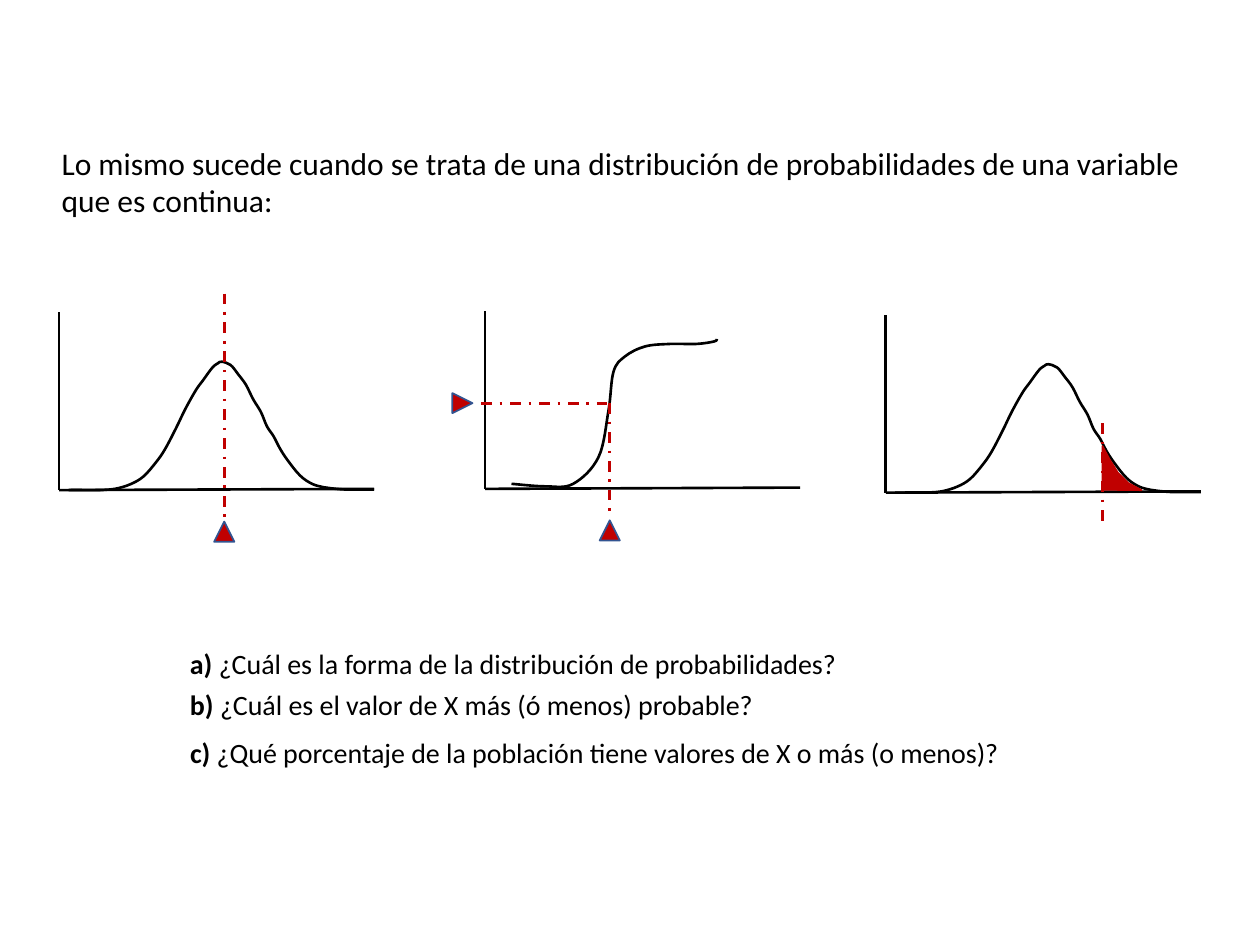
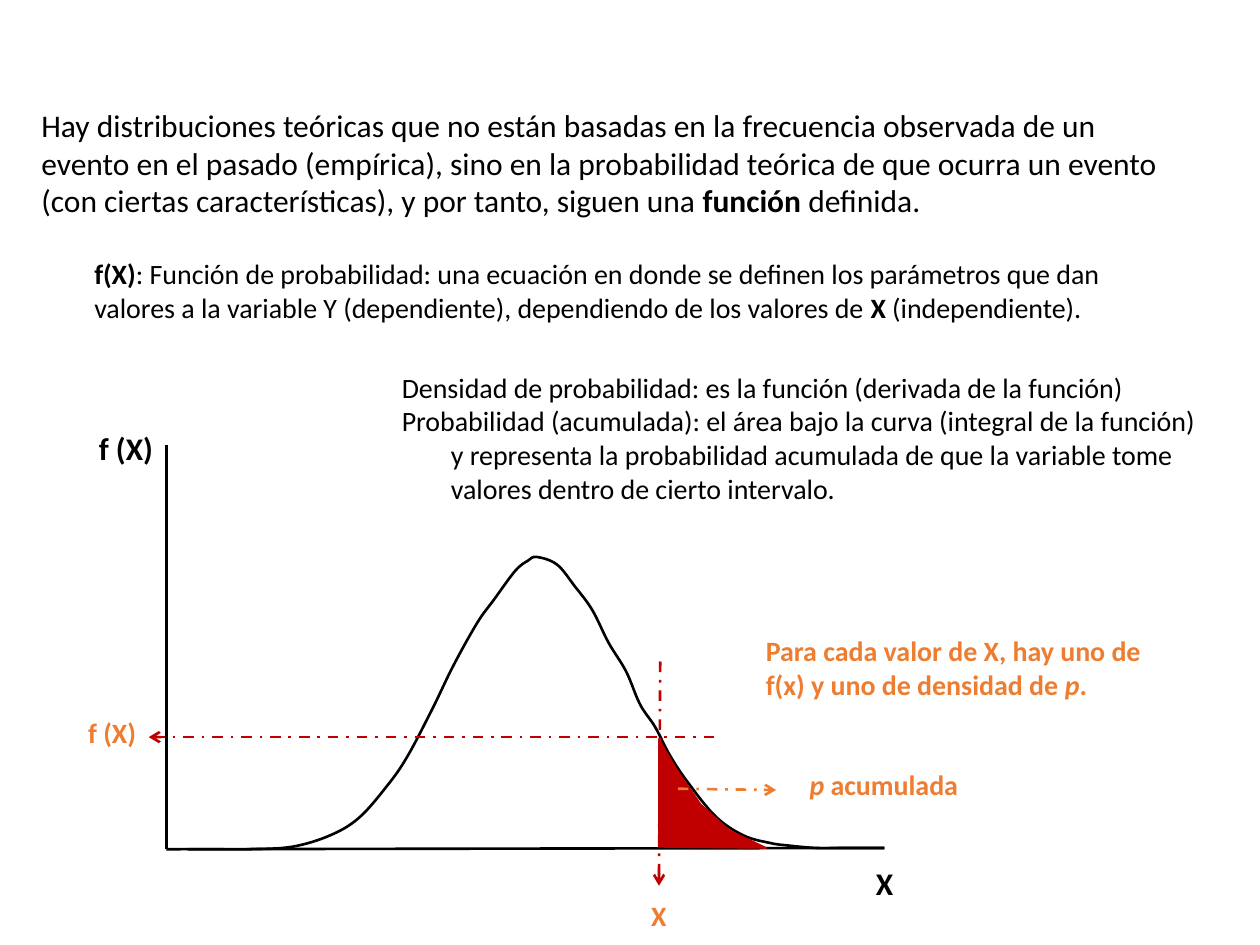
from dataclasses import dataclass

from lxml.etree import Element, SubElement
from pptx import Presentation
from pptx.dml.color import RGBColor as Color
from pptx.enum.dml import MSO_LINE as Dash
from pptx.enum.shapes import MSO_CONNECTOR as Connector, MSO_SHAPE as Shape
from pptx.enum.text import MSO_AUTO_SIZE as AutoSize, PP_ALIGN as Align
from pptx.oxml.ns import qn
from pptx.util import Emu, Pt

PX = 9144  # EMU per px: 100 px to the inch


@dataclass(frozen=True)
class Theme:
    font: str = "Calibri"
    ink: Color = Color(0x00, 0x00, 0x00)
    mark: Color = Color(0xC0, 0x00, 0x00)
    accent: Color = Color(0xED, 0x7D, 0x31)
    pointer_edge: Color = Color(0x32, 0x54, 0x91)
    lead: int = 18
    body: int = 16
    stroke: float = 1.5
    edge: float = 1


# Outlines in px, measured from the top left of axes of AXES_SIZE
AXES_SIZE = (570, 321)
BELL = [(17, 321), (40, 321), (66, 321), (100, 319), (130, 310), (153, 296),
        (175, 271), (191, 248), (211, 210), (228, 175), (247, 141), (260, 123),
        (277, 100), (287, 92), (294, 89), (310, 95), (324, 112), (338, 131),
        (351, 157), (365, 180), (376, 206), (388, 224), (400, 247), (414, 268),
        (436, 295), (458, 310), (479, 316), (493, 318), (516, 320), (540, 320),
        (552, 320), (570, 320)]
CUMULATIVE = [(406, 384), (433, 386), (455, 384), (475, 363), (483, 326),
              (487, 295), (496, 283), (512, 275), (532, 273), (553, 273),
              (567, 271), (569, 269)]
# Corners of the shaded tail, as shares of its box
TAIL = [(0, 0), (0, 0.99), (1, 1), (0.66, 0.84), (0.39, 0.6), (0.18, 0.3)]


def round_off(outline):
    """Turn the straight segments of an outline into one smooth curve."""
    track = next(outline.element.iter(qn("a:path")))
    knots = [(int(point.get("x")), int(point.get("y")))
             for point in track.iter(qn("a:pt"))]
    padded = [knots[0], *knots, knots[-1]]
    spans = zip(padded, padded[1:], padded[2:], padded[3:])
    for segment, (before, start, end, after) in zip(
            track.findall(qn("a:lnTo")), spans):
        bend = Element(qn("a:cubicBezTo"))
        leaving = [s + (e - b) / 6 for s, e, b in zip(start, end, before)]
        arriving = [e - (a - s) / 6 for s, e, a in zip(start, end, after)]
        for x, y in (leaving, arriving, end):
            SubElement(bend, qn("a:pt"), x=str(round(x)), y=str(round(y)))
        track.replace(segment, bend)


class Deck:
    def __init__(self, theme):
        self.theme = theme
        self.presentation = Presentation()
        self.presentation.slide_width = Emu(1000 * PX)
        self.presentation.slide_height = Emu(750 * PX)
        self.slide = None

    def new_slide(self):
        blank = self.presentation.slide_layouts[6]
        self.slide = self.presentation.slides.add_slide(blank)

    def text(self, left, top, width, height, *paragraphs, size=None,
             color=None, align=Align.LEFT, hanging=0):
        """Each paragraph is a list of (words, style); style holds b and/or i."""
        box = self.slide.shapes.add_textbox(
            *(Emu(n * PX) for n in (left, top, width, height)))
        frame = box.text_frame
        frame.word_wrap = True
        frame.auto_size = AutoSize.SHAPE_TO_FIT_TEXT
        for index, runs in enumerate(paragraphs):
            paragraph = frame.add_paragraph() if index else frame.paragraphs[0]
            paragraph.alignment = align
            if hanging:
                properties = paragraph._p.get_or_add_pPr()
                properties.set("marL", str(hanging * PX))
                properties.set("indent", str(-hanging * PX))
            for words, style in runs:
                run = paragraph.add_run()
                run.text = words
                font = run.font
                font.name = self.theme.font
                font.size = Pt(size or self.theme.body)
                font.color.rgb = color or self.theme.ink
                font.bold = "b" in style
                font.italic = "i" in style

    def label(self, left, top, words, height=37, **look):
        self.text(left, top, 94, height, [(words, "b")], align=Align.CENTER,
                  **look)

    def line(self, start, end, color=None, dashed=False, arrow=False):
        connector = self.slide.shapes.add_connector(
            Connector.STRAIGHT, *(Emu(n * PX) for n in (*start, *end)))
        connector.line.color.rgb = color or self.theme.ink
        connector.line.width = Pt(self.theme.stroke)
        if dashed:
            connector.line.dash_style = Dash.DASH_DOT
        properties = connector.element.spPr
        if arrow:
            SubElement(properties.find(qn("a:ln")), qn("a:tailEnd"), type="arrow")
        SubElement(properties, qn("a:effectLst"))

    def guide(self, start, end, color=None, arrow=False):
        self.line(start, end, color or self.theme.mark, True, arrow)

    def outline(self, points, close=False):
        corners = [(round(x * PX), round(y * PX)) for x, y in points]
        builder = self.slide.shapes.build_freeform(*corners[0])
        builder.add_line_segments(corners[1:], close=close)
        shape = builder.convert_to_shape()
        shape.shadow.inherit = False
        return shape

    def curve(self, knots):
        shape = self.outline(knots)
        round_off(shape)
        shape.fill.background()
        shape.line.color.rgb = self.theme.ink
        shape.line.width = Pt(self.theme.stroke)

    def paint(self, shape, edge):
        shape.fill.solid()
        shape.fill.fore_color.rgb = self.theme.mark
        shape.line.color.rgb = edge
        shape.line.width = Pt(self.theme.edge)

    def tail(self, left, top, width, height):
        area = self.outline(
            [(left + x * width, top + y * height) for x, y in TAIL], close=True)
        self.paint(area, self.theme.mark)

    def pointer(self, left, top, rotation=0):
        triangle = self.slide.shapes.add_shape(
            Shape.ISOSCELES_TRIANGLE,
            *(Emu(n * PX) for n in (left, top, 16, 16)))
        triangle.shadow.inherit = False
        triangle.rotation = rotation
        self.paint(triangle, self.theme.pointer_edge)

    def axes(self, left, top, width=250, height=141):
        base = top + height
        self.line((left, top), (left, base))
        self.line((left, base), (left + width, base - 1))

    def bell_plot(self, left, top, width=250, height=141):
        across, down = width / AXES_SIZE[0], height / AXES_SIZE[1]
        self.curve([(left + x * across, top + y * down) for x, y in BELL])
        self.axes(left, top, width, height)


def continuous_variable(deck):
    deck.new_slide()
    deck.bell_plot(47, 248)
    deck.pointer(170, 414)
    deck.guide((178, 233), (178, 412))

    deck.curve(CUMULATIVE)
    deck.axes(385, 247)
    deck.guide((382, 320), (484, 320))
    deck.guide((484, 320), (484, 406))
    deck.pointer(476, 413)
    deck.pointer(359, 312, rotation=90)

    deck.bell_plot(703, 250)
    deck.guide((875, 336), (875, 414))

    questions = [
        (508, 727, "a) ",
         "¿Cuál es la forma de la distribución de probabilidades?"),
        (541, 727, "b) ", "¿Cuál es el valor de X más (ó menos) probable?"),
        (579, 789, "c) ",
         "¿Qué porcentaje de la población tiene valores de X o más (o menos)?"),
    ]
    for top, width, letter, question in questions:
        deck.text(141, top, width, 37, [(letter, "b"), (question, "")])
    deck.tail(875, 354, 31, 35)
    deck.text(39, 109, 922, 71, [
        ("Lo mismo sucede cuando se trata de una distribución de "
         "probabilidades de una variable que es continua:", "")],
        size=deck.theme.lead)


def theoretical_distribution(deck):
    theme = deck.theme
    deck.new_slide()
    deck.bell_plot(132, 353, *AXES_SIZE)
    deck.guide((524, 525), (523, 703), arrow=True)
    deck.tail(523, 587, 85, 86)
    deck.label(53, 336, "f (X)", height=40, size=theme.lead)
    deck.label(655, 681, "X", height=40, size=theme.lead)

    deck.guide((538, 626), (616, 627), theme.accent, arrow=True)
    deck.text(588, 604, 227, 37, [("p ", "bi"), ("acumulada", "b")],
              color=theme.accent, align=Align.CENTER)
    deck.text(
        309, 289, 662, 118,
        [("Densidad de probabilidad: es la función (derivada de la función)", "")],
        [("Probabilidad (acumulada): el área bajo la curva (integral de la "
          "función) y representa la probabilidad acumulada de que la variable "
          "tome valores dentro de cierto intervalo.", "")],
        hanging=39)
    deck.text(65, 199, 836, 91, [
        ("f(X)", "b"),
        (": Función de probabilidad: una ecuación en donde se definen los "
         "parámetros que dan valores a la variable Y (dependiente), "
         "dependiendo de los valores de ", ""),
        ("X ", "b"),
        ("(independiente).", "")])
    deck.text(598, 498, 352, 64, [
        ("Para cada valor de X, hay uno de f(x) y uno de densidad de ", "b"),
        ("p", "bi"),
        (".", "b")], color=theme.accent)
    deck.text(23, 79, 922, 101, [
        ("Hay distribuciones teóricas que no están basadas en la frecuencia "
         "observada de un evento en el pasado (empírica), sino en la "
         "probabilidad teórica de que ocurra un evento (con ciertas "
         "características), y por tanto, siguen una ", ""),
        ("función ", "b"),
        ("definida.", "")], size=theme.lead)

    deck.guide((567, 585), (118, 585), arrow=True)
    deck.label(42, 563, "f (X)", color=theme.accent)
    deck.label(476, 708, "X", color=theme.accent)


def main():
    deck = Deck(Theme())
    continuous_variable(deck)
    theoretical_distribution(deck)
    deck.presentation.save("out.pptx")


if __name__ == "__main__":
    main()
